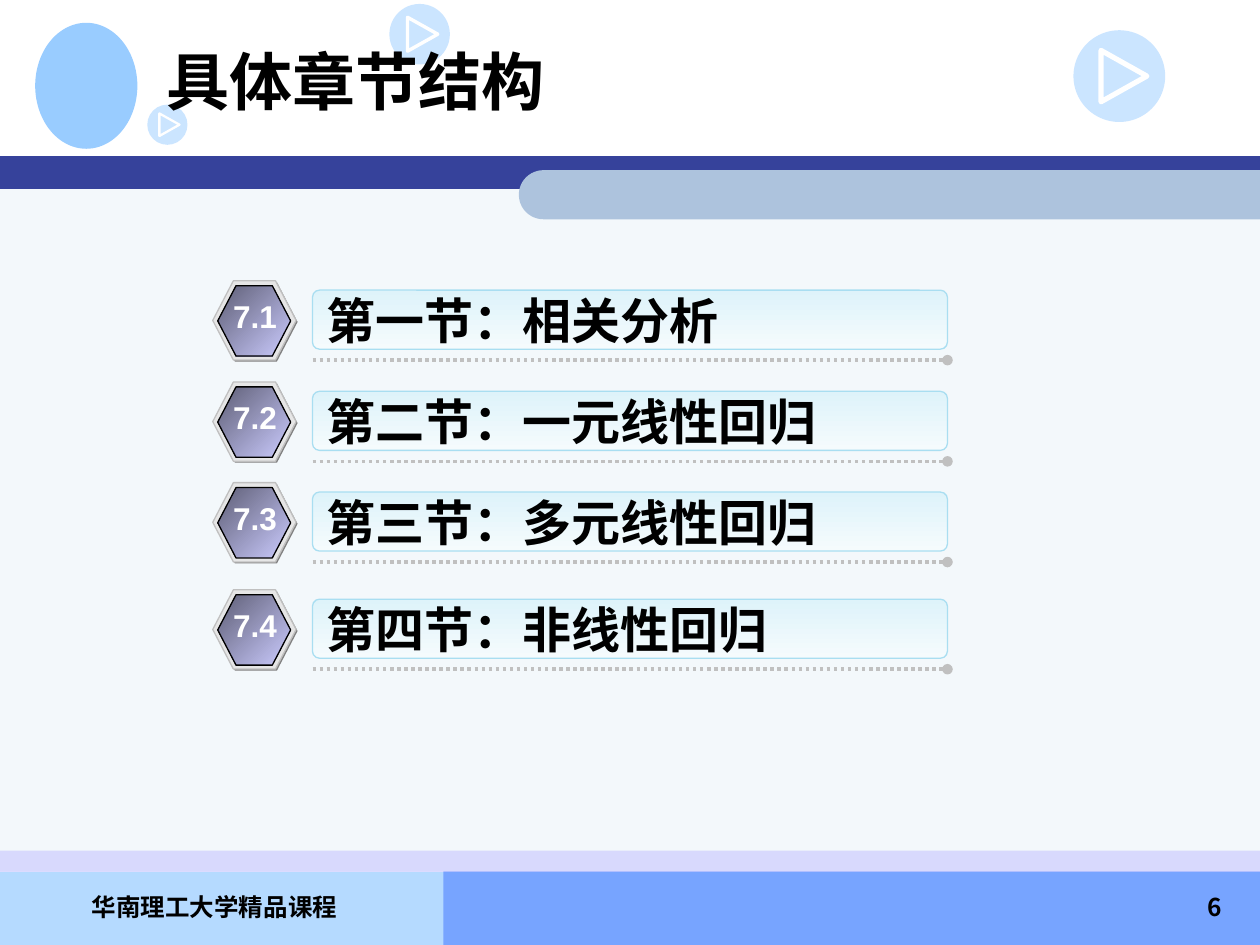
from dataclasses import dataclass

from lxml.etree import SubElement
from pptx import Presentation
from pptx.dml.color import RGBColor
from pptx.enum.dml import MSO_LINE
from pptx.enum.shapes import MSO_CONNECTOR, MSO_SHAPE
from pptx.enum.text import MSO_ANCHOR, PP_ALIGN
from pptx.oxml.ns import qn
from pptx.util import Cm, Pt


@dataclass(frozen=True)
class Theme:
    black: str = "000000"
    white: str = "FFFFFF"
    body: str = "F3F8FB"
    navy: str = "36429B"
    band: str = "ADC3DD"
    sky: str = "99CCFF"
    lavender: str = "CCCCFF"
    footer_light: str = "B5DAFF"
    footer_dark: str = "77A4FF"
    bar: tuple = ("DEF3FA", "F5FBFD")
    bar_line: str = "A9DEF1"
    badge: tuple = ("5E5E76", "CCCCFF")
    badge_rim: str = "E6E6E6"
    badge_shadow: str = "808080"
    gray: str = "C0C0C0"
    chinese: str = "Noto Sans CJK SC"
    footer_font: str = "Noto Sans CJK KR"
    latin: str = "Arial"
    title_size: int = 36
    section_size: int = 28
    badge_size: int = 18
    footer_size: int = 14


THEME = Theme()
SLIDE_WIDTH, SLIDE_HEIGHT = 25.4, 19.05

TITLE = "具体章节结构"
FOOTER = "华南理工大学精品课程"
PAGE_NUMBER = "6"
SECTIONS = [
    ("7.1", "第一节：相关分析", 5.66),
    ("7.2", "第二节：一元线性回归", 7.7),
    ("7.3", "第三节：多元线性回归", 9.73),
    ("7.4", "第四节：非线性回归", 11.89),
]
PANELS = [
    ((0, 17.58, 10.8, 1.47), THEME.footer_light),
    ((8.94, 17.55, 16.46, 1.5), THEME.footer_dark),
    ((0, 3.56, SLIDE_WIDTH, 14), THEME.body),
    ((0, 3.15, SLIDE_WIDTH, 0.66), THEME.navy),
]
BAND = (10.46, 3.43, 14.94, 0.99)
EMBLEM = (0.71, 0.46, 2.06, 2.54)
PLAY_ICONS = [(7.85, 0.08, 1.22), (21.64, 0.61, 1.85), (2.97, 2.11, 0.81)]
PLAY_TRIANGLE = [(0.3, 0.22), (0.8, 0.5), (0.3, 0.78)]
BAR_LEFT, BAR_WIDTH, BAR_HEIGHT = 6.3, 12.8, 1.19
BADGE_LEFT = 4.29


def color(value):
    return RGBColor.from_string(value)


def style(shape, fill=None, line=None, width=0.75, angle=0, opacity=None):
    shape.shadow.inherit = False
    if isinstance(fill, tuple):
        shape.fill.gradient()
        shape.fill.gradient_angle = angle
        for stop, value in zip(shape.fill.gradient_stops, fill):
            stop.color.rgb = color(value)
    elif fill:
        shape.fill.solid()
        shape.fill.fore_color.rgb = color(fill)
    else:
        shape.fill.background()
    if opacity:
        solid = shape._element.spPr.find(qn("a:solidFill"))
        SubElement(solid[0], qn("a:alpha"), val=str(opacity * 1000))
    if line:
        shape.line.color.rgb = color(line)
        shape.line.width = Pt(width)
    else:
        shape.line.fill.background()


def add_shape(shapes, kind, box, adjustment=None, **look):
    shape = shapes.add_shape(kind, *map(Cm, box))
    if adjustment is not None:
        shape.adjustments[0] = adjustment
    style(shape, **look)
    return shape


def write(shape, text, size, font=THEME.chinese, ink=THEME.black,
          align=PP_ALIGN.LEFT, anchor=MSO_ANCHOR.TOP, wrap=True):
    frame = shape.text_frame
    frame.word_wrap = wrap
    frame.vertical_anchor = anchor
    paragraph = frame.paragraphs[0]
    paragraph.alignment = align
    run = paragraph.add_run()
    run.text = text
    run.font.size = Pt(size)
    run.font.bold = True
    run.font.color.rgb = color(ink)
    run.font.name = font
    SubElement(run.font._element, qn("a:ea"), typeface=font)


def add_text(shapes, box, text, size, **format):
    write(shapes.add_textbox(*map(Cm, box)), text, size, **format)


def add_play_icon(shapes, left, top, size):
    add_shape(shapes, MSO_SHAPE.OVAL, (left, top, size, size), fill=THEME.sky, opacity=50)
    points = [(Cm(left + x * size), Cm(top + y * size)) for x, y in PLAY_TRIANGLE]
    builder = shapes.build_freeform(*points[0])
    builder.add_line_segments(points[1:], close=True)
    style(builder.convert_to_shape(), line=THEME.white, width=round(size * 1.6, 2))


def add_backdrop(shapes):
    for box, fill in PANELS:
        add_shape(shapes, MSO_SHAPE.RECTANGLE, box, fill=fill)
    left, top, width, height = BAND
    shift = (width - height) / 2
    band = add_shape(shapes, MSO_SHAPE.ROUND_2_SAME_RECTANGLE,
                     (left + shift, top - shift, height, width), 0.5, fill=THEME.band)
    band.rotation = 270
    add_shape(shapes, MSO_SHAPE.OVAL, EMBLEM, fill=THEME.sky)
    for icon in PLAY_ICONS:
        add_play_icon(shapes, *icon)
    add_shape(shapes, MSO_SHAPE.RECTANGLE, (0, 17.15, SLIDE_WIDTH, 0.43),
              fill=THEME.lavender, opacity=69)


def add_badge(shapes, number, top):
    group = shapes.add_group_shape()
    layers = [
        ((BADGE_LEFT + 0.03, top + 0.03, 1.68, 1.6), dict(fill=THEME.badge_shadow)),
        ((BADGE_LEFT, top, 1.68, 1.6), dict(fill=THEME.badge_rim, line=THEME.gray)),
        ((BADGE_LEFT + 0.1, top + 0.1, 1.47, 1.42),
         dict(fill=THEME.badge, angle=315, line=THEME.black)),
    ]
    for box, look in layers:
        add_shape(group.shapes, MSO_SHAPE.HEXAGON, box, 0.26, **look)
    add_text(shapes, (BADGE_LEFT + 0.15, top + 0.2, 1.4, 1.02), number, THEME.badge_size,
             font=THEME.latin, ink=THEME.white, align=PP_ALIGN.CENTER, wrap=False)


def add_dotted_line(shapes, top):
    connector = shapes.add_connector(MSO_CONNECTOR.STRAIGHT, Cm(BAR_LEFT), Cm(top),
                                     Cm(BAR_LEFT + BAR_WIDTH), Cm(top))
    connector.line.color.rgb = color(THEME.gray)
    connector.line.width = Pt(2)
    connector.line.dash_style = MSO_LINE.ROUND_DOT
    properties = connector._element.spPr
    SubElement(properties.find(qn("a:ln")), qn("a:tailEnd"), type="oval")
    SubElement(properties, qn("a:effectLst"))


def add_section(shapes, number, heading, top):
    add_badge(shapes, number, top)
    add_dotted_line(shapes, top + 1.6)
    bar = add_shape(shapes, MSO_SHAPE.ROUNDED_RECTANGLE,
                    (BAR_LEFT, top + 0.19, BAR_WIDTH, BAR_HEIGHT), 0.12,
                    fill=THEME.bar, angle=270, line=THEME.bar_line)
    write(bar, heading, THEME.section_size, anchor=MSO_ANCHOR.MIDDLE)


def main():
    presentation = Presentation()
    presentation.slide_width = Cm(SLIDE_WIDTH)
    presentation.slide_height = Cm(SLIDE_HEIGHT)
    slide = presentation.slides.add_slide(presentation.slide_layouts[6])
    shapes = slide.shapes
    add_backdrop(shapes)
    add_text(shapes, (3.1, 0.13, 21.59, 2.97), TITLE, THEME.title_size,
             anchor=MSO_ANCHOR.MIDDLE)
    for section in SECTIONS:
        add_section(shapes, *section)
    add_text(shapes, (0.3, 17.86, 8.05, 1.27), FOOTER, THEME.footer_size,
             font=THEME.footer_font, align=PP_ALIGN.CENTER)
    add_text(shapes, (19.61, 17.86, 5.28, 1.27), PAGE_NUMBER, THEME.footer_size,
             align=PP_ALIGN.RIGHT)
    presentation.save("out.pptx")


if __name__ == "__main__":
    main()
